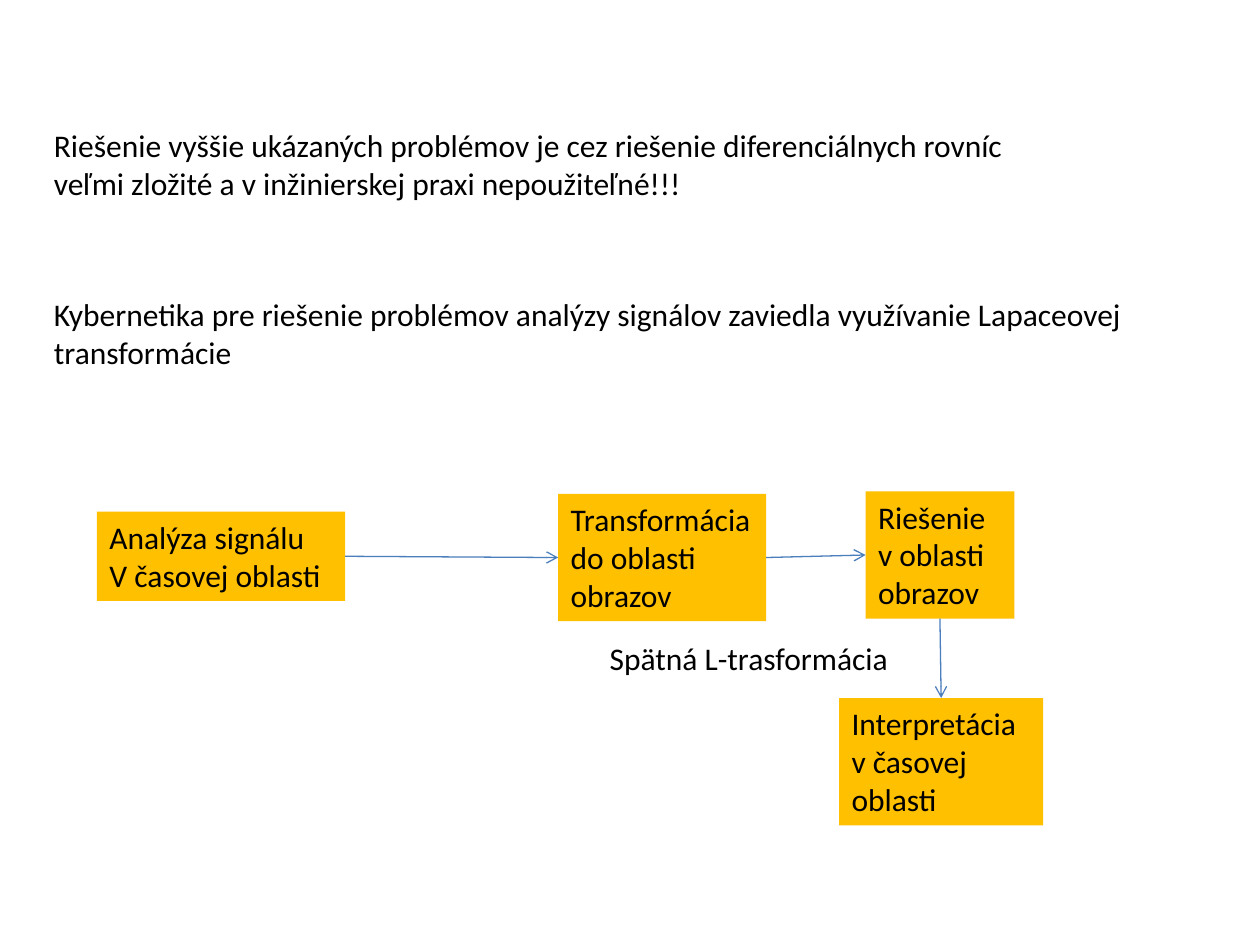
import pptx
import pptx.dml.color
import pptx.enum.shapes
import pptx.enum.text
import pptx.oxml.ns
import pptx.util
from lxml import etree
from pptx.util import Inches

BLACK = pptx.dml.color.RGBColor(0x00, 0x00, 0x00)
AMBER = pptx.dml.color.RGBColor(0xFF, 0xC0, 0x00)
BLUE = pptx.dml.color.RGBColor(0x4B, 0x7E, 0xBC)
TOP, LEFT, BOTTOM, RIGHT = range(4)


def add_text(slide, text, left, top, width, height, size=18, color=BLACK, fill=None):
    """Add a wrapped text box, one paragraph per line of text."""
    sp = slide.shapes.add_textbox(left, top, width, height)
    if fill is not None:
        sp.fill.solid()
        sp.fill.fore_color.rgb = fill
    tf = sp.text_frame
    tf.word_wrap = True
    tf.auto_size = pptx.enum.text.MSO_AUTO_SIZE.SHAPE_TO_FIT_TEXT
    tf.text = text
    for p in tf.paragraphs:
        p.font.name = "Calibri"
        p.font.size = pptx.util.Pt(size)
        p.font.color.rgb = color
    return sp


def add_arrow(slide, start, start_site, end, end_site):
    """Join two boxes with a thin open-headed arrow."""
    cxn = slide.shapes.add_connector(pptx.enum.shapes.MSO_CONNECTOR.STRAIGHT, 0, 0, 0, 0)
    cxn.begin_connect(start, start_site)
    cxn.end_connect(end, end_site)
    cxn.line.color.rgb = BLUE
    cxn.line.width = pptx.util.Pt(0.75)
    qn = pptx.oxml.ns.qn
    etree.SubElement(cxn.line._get_or_add_ln(), qn("a:tailEnd"), type="arrow")
    etree.SubElement(cxn._element.spPr, qn("a:effectLst"))


def add_statements(slide, left, top, width):
    """Place the two introductory statements."""
    add_text(slide, "Riešenie vyššie ukázaných problémov je cez riešenie diferenciálnych rovníc "
             "veľmi zložité a v inžinierskej praxi nepoužiteľné!!!",
             left, top, width - Inches(1.46), Inches(0.71))
    add_text(slide, "Kybernetika pre riešenie problémov analýzy signálov zaviedla využívanie "
             "Lapaceovej transformácie",
             left, top + Inches(1.34), width, Inches(0.71))


def add_flow(slide, left, top):
    """Place the transformation flow: four steps, their arrows and a label."""
    steps = [
        ("Analýza signálu\nV časovej oblasti", 0, 0.16, 1.97, 0.71),
        ("Transformácia\ndo oblasti obrazov", 3.66, 0.02, 1.65, 1.01),
        ("Riešenie v oblasti obrazov", 6.1, 0, 1.18, 1.01),
        ("Interpretácia v časovej oblasti", 5.89, 1.64, 1.62, 1.01),
    ]
    analysis, transform, solution, result = [
        add_text(slide, text, left + Inches(x), top + Inches(y), Inches(w), Inches(h), fill=AMBER)
        for text, x, y, w, h in steps
    ]
    add_arrow(slide, analysis, RIGHT, transform, LEFT)
    add_arrow(slide, transform, RIGHT, solution, LEFT)
    add_arrow(slide, solution, BOTTOM, result, TOP)
    add_text(slide, "Spätná L-trasformácia", left + Inches(3.97), top + Inches(1.12),
             Inches(2.6), Inches(0.4))


def main():
    """Build and save the slide."""
    prs = pptx.Presentation()
    prs.slide_width, prs.slide_height = Inches(10), Inches(7.5)
    slide = prs.slides.add_slide(prs.slide_layouts[6])
    add_statements(slide, Inches(0.33), Inches(0.95), Inches(9.33))
    add_flow(slide, Inches(0.77), Inches(3.9))
    prs.save("out.pptx")


if __name__ == "__main__":
    main()
